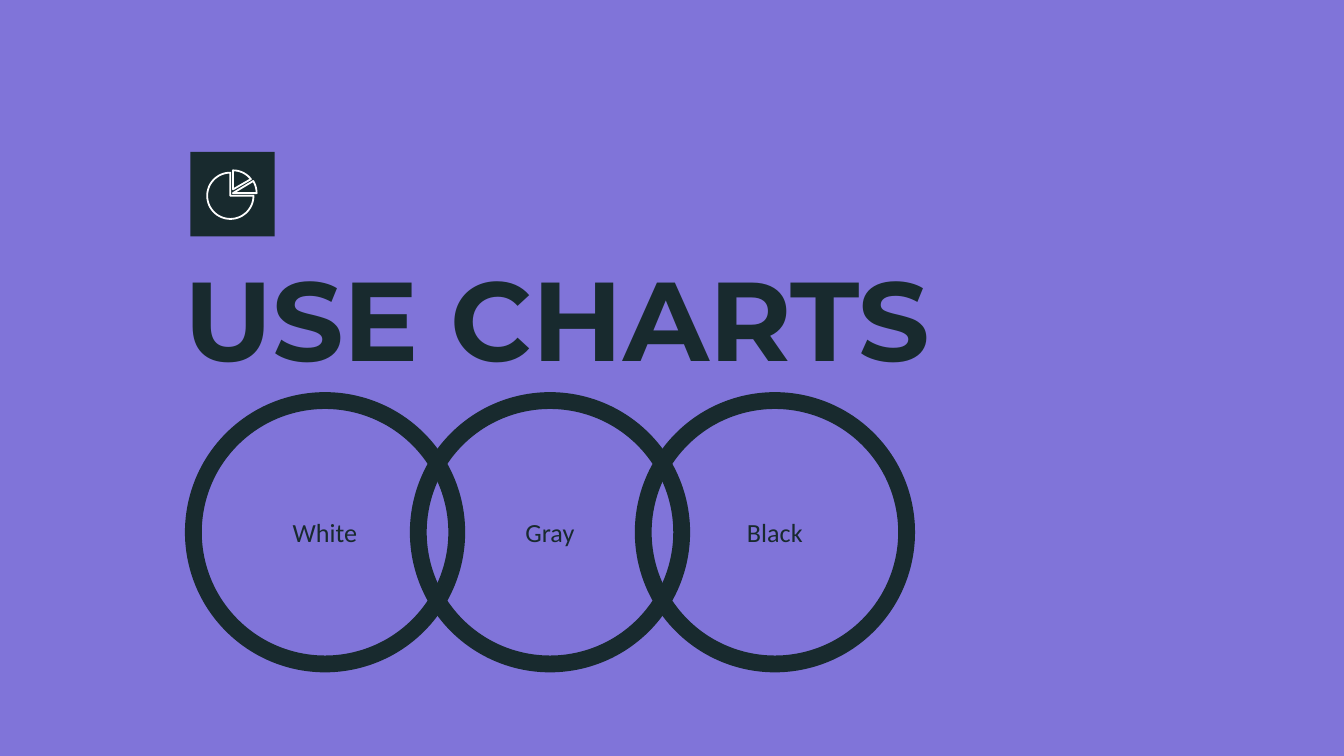
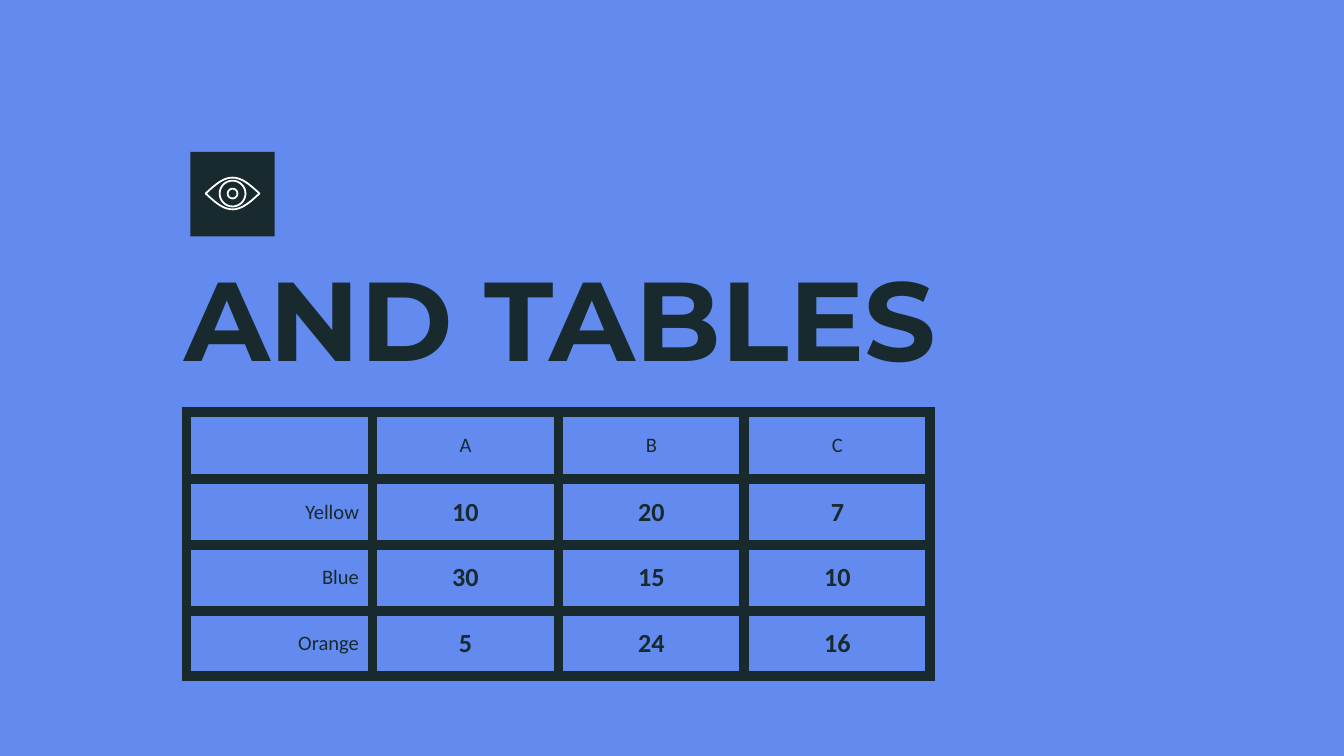
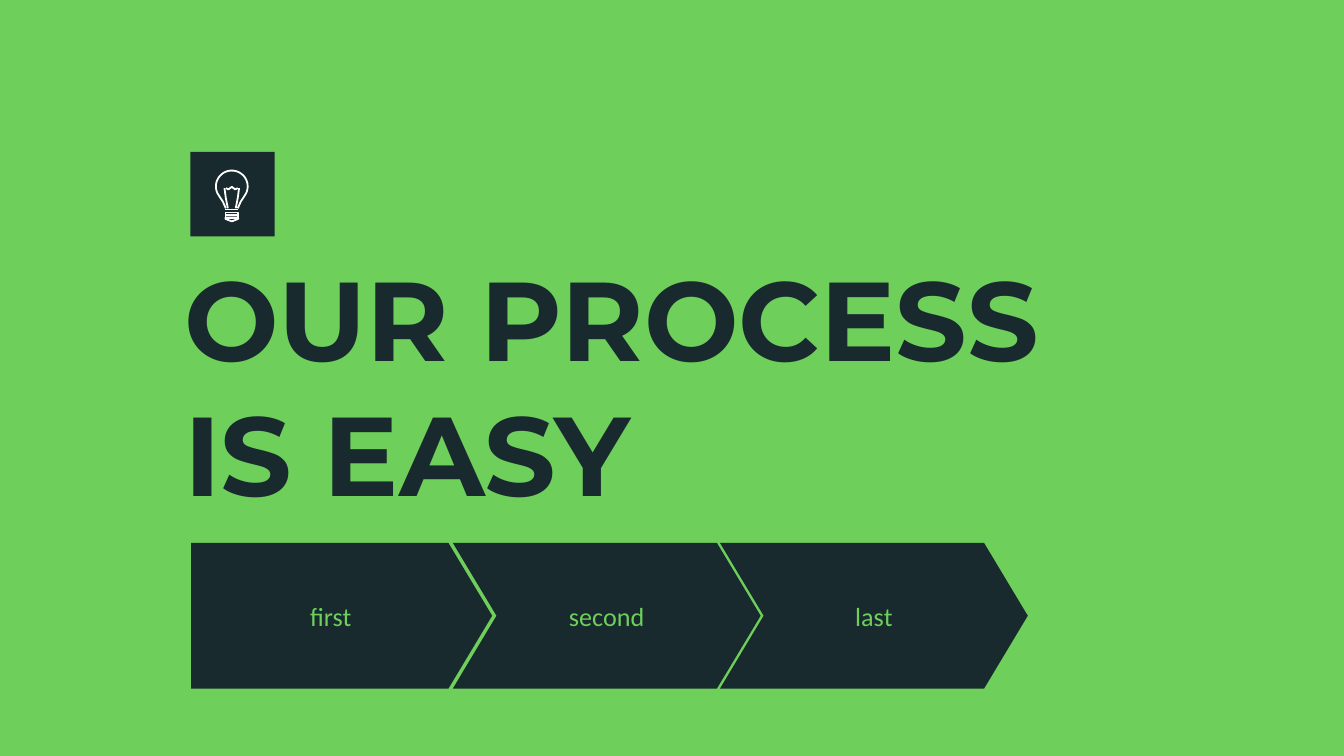
from dataclasses import dataclass
from math import cos, pi, radians, sin

from lxml.etree import SubElement
from pptx import Presentation
from pptx.dml.color import RGBColor
from pptx.enum.shapes import MSO_CONNECTOR, MSO_SHAPE
from pptx.enum.text import MSO_ANCHOR, MSO_AUTO_SIZE, PP_ALIGN
from pptx.oxml.ns import qn
from pptx.util import Pt

COLORS = {
    "ink": "182A2E",
    "icon": "FFFFFF",
    "purple": "8074D9",
    "blue": "628AEF",
    "green": "6ECF5B",
}
TITLE_FONT = "Montserrat"
BODY_FONT = "Calibri"
INSET = 7.2
ICON_LINE = 0.96

Point = tuple[float, float]


@dataclass(frozen=True)
class Label:
    """A preset shape carrying one centred word."""
    text: str
    kind: MSO_SHAPE
    left: float
    top: float
    width: float
    height: float
    fill: str | None = None
    line: str | None = None
    color: str = "ink"
    adjust: float | None = None


def rgb(name: str) -> RGBColor:
    return RGBColor.from_string(COLORS[name])


def set_font(p, font: str, size: float, color: str, bold: bool = False) -> None:
    p.font.name = font
    p.font.size = Pt(size)
    p.font.bold = bold
    p.font.color.rgb = rgb(color)


def set_insets(target, horizontal: float, vertical: float) -> None:
    target.margin_left = target.margin_right = Pt(horizontal)
    target.margin_top = target.margin_bottom = Pt(vertical)


def style_shape(sp, fill: str | None, line: str | None, width: float) -> None:
    sp.shadow.inherit = False
    if fill:
        sp.fill.solid()
        sp.fill.fore_color.rgb = rgb(fill)
    else:
        sp.fill.background()
    if line:
        sp.line.color.rgb = rgb(line)
        sp.line.width = Pt(width)
    else:
        sp.line.fill.background()


# Shared slide frame: background, icon tile and title
def add_slide(prs, background: str, title: str):
    s = prs.slides.add_slide(prs.slide_layouts[5])
    s.background.fill.solid()
    s.background.fill.fore_color.rgb = rgb(background)

    tile = s.shapes.add_shape(MSO_SHAPE.RECTANGLE, Pt(102), Pt(81.4), Pt(45.2), Pt(45.2))
    style_shape(tile, "ink", None, 0)

    sp = s.shapes.title
    sp.left, sp.top, sp.width, sp.height = Pt(91.4), Pt(126.7), Pt(536.4), Pt(152)
    tf = sp.text_frame
    tf.text = title
    tf.word_wrap = True
    tf.auto_size = MSO_AUTO_SIZE.NONE
    tf.vertical_anchor = MSO_ANCHOR.TOP
    set_insets(tf, INSET, INSET)
    p = tf.paragraphs[0]
    p.alignment = PP_ALIGN.LEFT
    set_font(p, TITLE_FONT, 60, "ink", bold=True)
    return s


def add_label(s, label: Label) -> None:
    sp = s.shapes.add_shape(label.kind, Pt(label.left), Pt(label.top),
                            Pt(label.width), Pt(label.height))
    style_shape(sp, label.fill, label.line, 9)
    if label.adjust is not None:
        sp.adjustments[0] = label.adjust
    tf = sp.text_frame
    tf.text = label.text
    tf.word_wrap = True
    tf.vertical_anchor = MSO_ANCHOR.MIDDLE
    set_insets(tf, INSET, INSET)
    p = tf.paragraphs[0]
    p.alignment = PP_ALIGN.CENTER
    set_font(p, BODY_FONT, 14, label.color)


# Icon outlines
def arc(center: Point, radius: float, start: float, end: float) -> list[Point]:
    """Points along an arc; angles in degrees, clockwise from the right."""
    steps = max(6, round(abs(end - start) / 6))
    angles = [radians(start + (end - start) * i / steps) for i in range(steps + 1)]
    return [(center[0] + radius * cos(a), center[1] + radius * sin(a)) for a in angles]


def mirror(points: list[Point], axis: float) -> list[Point]:
    return [(2 * axis - x, y) for x, y in points]


def add_outline(group, points: list[Point], close: bool = True) -> None:
    (x, y), *rest = [(Pt(px), Pt(py)) for px, py in points]
    builder = group.shapes.build_freeform(x, y)
    builder.add_line_segments(rest, close=close)
    style_shape(builder.convert_to_shape(), None, "icon", ICON_LINE)


def add_pie_icon(s) -> None:
    group = s.shapes.add_group_shape()
    center, slices = (123.4, 104.9), (124.8, 103.5)
    add_outline(group, [center] + arc(center, 12.4, 0, 270))
    add_outline(group, [(124.8, 101.5)] + arc(slices, 12.2, -90, -38))
    add_outline(group, [slices] + arc(slices, 12.7, -31, 0))


def add_eye_icon(s) -> None:
    group = s.shapes.add_group_shape()
    cx, cy = center = (124.6, 103.7)
    half_width, half_height, steps = 14.4, 8.5, 24
    offsets = [2 * i / steps - 1 for i in range(steps + 1)]
    upper = [(cx + half_width * t, cy - half_height * cos(t * pi / 2)) for t in offsets]
    lower = [(x, 2 * cy - y) for x, y in reversed(upper)]
    add_outline(group, upper + lower)
    for radius in (2.6, 6.9):
        add_outline(group, arc(center, radius, 0, 360))


def add_bulb_icon(s) -> None:
    group = s.shapes.add_group_shape()
    axis = 124.2
    left, right = axis - 3.4, axis + 3.4

    # Screw base
    for top in (115.2, 113.8):
        bottom = top + 1.4
        add_outline(group, [(left, top), (right, top), (right, bottom), (left, bottom)])
    add_outline(group, [(left, 116.6), (left, 117.3), (axis, 118.6),
                        (right, 117.3), (right, 116.6)])

    # Glass and filament
    neck = [(121, 111.6), (119.4, 108), (117.8, 105.6)]
    add_outline(group, neck + arc((axis, 99.9), 8.5, 155, 385)
                + mirror(neck[::-1], axis), close=False)
    wire = [(122.1, 111.6), (121, 106), (120.3, 100.8)]
    for points in (wire, mirror(wire, axis)):
        add_outline(group, points, close=False)
    zigzag = [(121, 100.8), (122.4, 101.5)]
    add_outline(group, zigzag + [(axis, 100.1)] + mirror(zigzag[::-1], axis), close=False)

    collar = group.shapes.add_connector(MSO_CONNECTOR.STRAIGHT, Pt(left), Pt(112.3),
                                        Pt(right), Pt(112.3))
    collar.line.color.rgb = rgb("icon")
    collar.line.width = Pt(ICON_LINE)
    SubElement(collar.element.spPr, qn("a:effectLst"))


# Table
def set_borders(cell, color: str, width: float) -> None:
    tc_pr = cell._tc.get_or_add_tcPr()
    for i, tag in enumerate(("a:lnL", "a:lnR", "a:lnT", "a:lnB")):
        ln = tc_pr.makeelement(qn(tag), {"w": str(Pt(width))})
        fill = SubElement(ln, qn("a:solidFill"))
        SubElement(fill, qn("a:srgbClr"), val=COLORS[color])
        tc_pr.insert(i, ln)


def add_grid(s, rows: list[list[str]]) -> None:
    column_width, header_height, row_height = 99.65, 35.9, 35.2
    columns = len(rows[0])
    height = header_height + row_height * (len(rows) - 1)
    table = s.shapes.add_table(len(rows), columns, Pt(99.9), Pt(220.9),
                               Pt(column_width * columns), Pt(height)).table
    table.first_row = table.horz_banding = False
    for column in table.columns:
        column.width = Pt(column_width)
    for r, values in enumerate(rows):
        table.rows[r].height = Pt(row_height if r else header_height)
        for c, value in enumerate(values):
            cell = table.cell(r, c)
            cell.text = value
            cell.fill.background()
            cell.vertical_anchor = MSO_ANCHOR.MIDDLE
            set_insets(cell, INSET, 5)
            set_borders(cell, "ink", 6)
            p = cell.text_frame.paragraphs[0]
            p.alignment = PP_ALIGN.CENTER if c else PP_ALIGN.RIGHT
            is_number = r > 0 and c > 0
            set_font(p, BODY_FONT, 14 if is_number else 11, "ink", bold=is_number)


# Slides
def build_charts(prs) -> None:
    s = add_slide(prs, "purple", "USE CHARTS")
    for position, text in ((1, "Gray"), (0, "White"), (2, "Black")):
        add_label(s, Label(text, MSO_SHAPE.OVAL, 103.6 + 120.5 * position, 214.6,
                           141.1, 141.1, line="ink"))
    add_pie_icon(s)


def build_tables(prs) -> None:
    s = add_slide(prs, "blue", "AND TABLES")
    add_grid(s, [
        ["", "A", "B", "C"],
        ["Yellow", "10", "20", "7"],
        ["Blue", "30", "15", "10"],
        ["Orange", "5", "24", "16"],
    ])
    add_eye_icon(s)


def build_process(prs) -> None:
    s = add_slide(prs, "green", "OUR PROCESS IS EASY")
    top, height = 290.9, 78
    add_label(s, Label("first", MSO_SHAPE.PENTAGON, 102.4, top, 161.3, height,
                       fill="ink", color="green", adjust=0.3))
    for i, text in enumerate(("second", "last")):
        add_label(s, Label(text, MSO_SHAPE.CHEVRON, 242.6 + 143.1 * i, top, 164.9, height,
                           fill="ink", color="green", adjust=0.3))
    add_bulb_icon(s)


def main() -> None:
    prs = Presentation()
    prs.slide_width, prs.slide_height = Pt(720), Pt(405)
    build_charts(prs)
    build_tables(prs)
    build_process(prs)
    prs.save("out.pptx")


if __name__ == "__main__":
    main()
